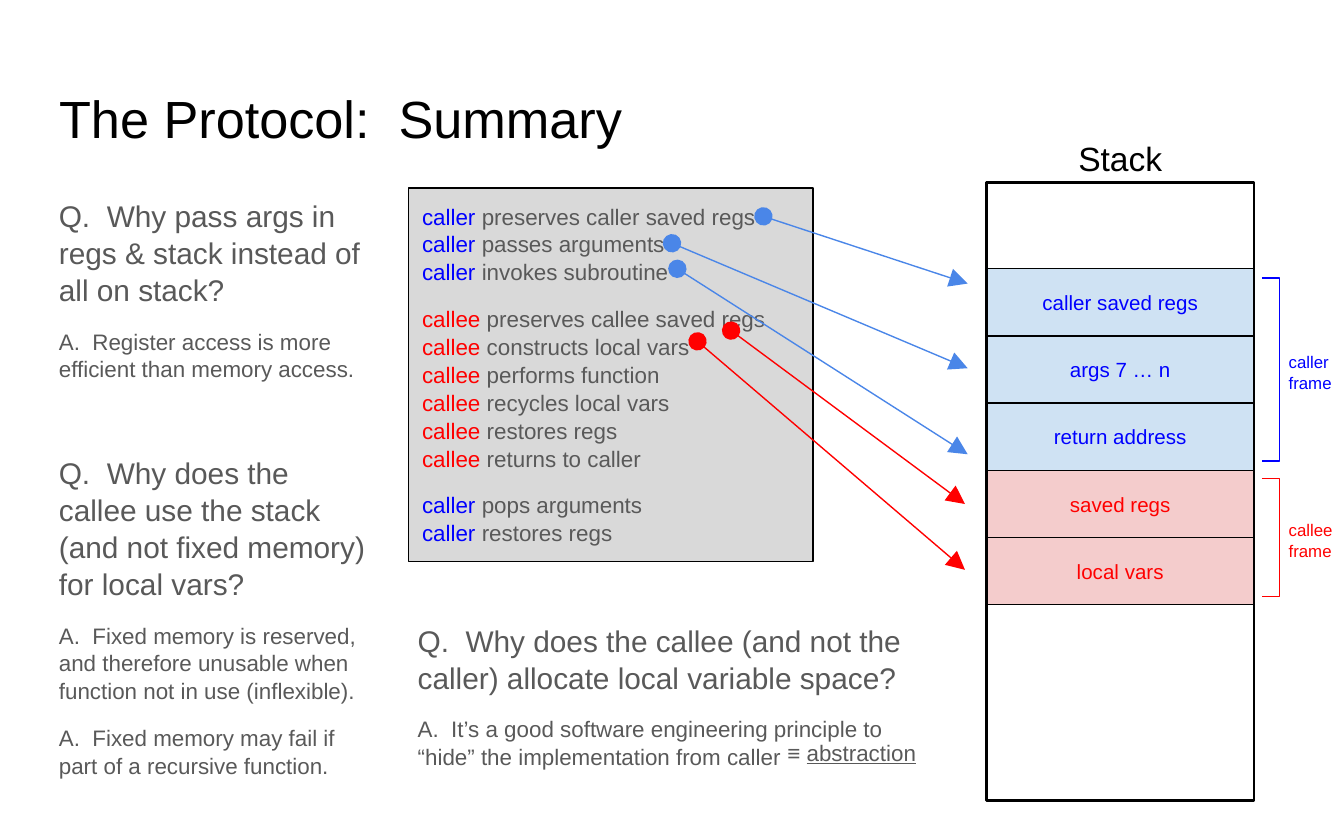
from lxml import etree
from pptx import Presentation
from pptx.dml.color import RGBColor
from pptx.enum.shapes import MSO_CONNECTOR, MSO_SHAPE
from pptx.enum.text import MSO_ANCHOR, MSO_AUTO_SIZE, PP_ALIGN
from pptx.oxml.ns import qn
from pptx.util import Inches, Pt

STRAIGHT, RECT = MSO_CONNECTOR.STRAIGHT, MSO_SHAPE.RECTANGLE
TOP, MIDDLE = MSO_ANCHOR.TOP, MSO_ANCHOR.MIDDLE
LEFT, CENTER = PP_ALIGN.LEFT, PP_ALIGN.CENTER
NO_FIT = MSO_AUTO_SIZE.NONE

BLACK = RGBColor(0x00, 0x00, 0x00)
GRAY = RGBColor(0x59, 0x59, 0x59)
PANEL = RGBColor(0xD9, 0xD9, 0xD9)
BLUE = RGBColor(0x00, 0x00, 0xFF)
RED = RGBColor(0xFF, 0x00, 0x00)
ARROW_BLUE = RGBColor(0x4A, 0x86, 0xE8)
PALE_BLUE = RGBColor(0xCF, 0xE2, 0xF3)
PALE_RED = RGBColor(0xF4, 0xCC, 0xCC)

FONT = "Arial"
SPACING = 1.04
ROLE_COLORS = {"caller": BLUE, "callee": RED}
STEPS = [
    ("caller", ["preserves caller saved regs", "passes arguments",
                "invokes subroutine"]),
    ("callee", ["preserves callee saved regs", "constructs local vars",
                "performs function", "recycles local vars", "restores regs",
                "returns to caller"]),
    ("caller", ["pops arguments", "restores regs"]),
]
CELLS = [
    ("caller saved regs", PALE_BLUE, BLUE),
    ("args 7 … n", PALE_BLUE, BLUE),
    ("return address", PALE_BLUE, BLUE),
    ("saved regs", PALE_RED, RED),
    ("local vars", PALE_RED, RED),
]
ARROWS = [
    (5.68, 1.61, 7.2, 2.11, ARROW_BLUE),
    (5, 1.81, 7.2, 2.74, ARROW_BLUE),
    (5.04, 2, 7.2, 3.38, ARROW_BLUE),
    (5.44, 2.46, 7.18, 3.75, RED),
    (5.19, 2.54, 7.18, 4.24, RED),
]
QUESTIONS = [
    ((0.34, 1.36, 2.54, 1.44),
     "Q.  Why pass args in regs & stack instead of all on stack?",
     ["A.  Register access is more efficient than memory access."]),
    ((3.01, 4.52, 3.96, 1.36),
     "Q.  Why does the callee (and not the caller) allocate local variable "
     "space?",
     ["A.  It’s a good software engineering principle to “hide” the "
      "implementation from caller"]),
    ((0.34, 3.27, 2.54, 1.36),
     "Q.  Why does the callee use the stack (and not fixed memory) for local "
     "vars?",
     ["A.  Fixed memory is reserved, and therefore unusable when function "
      "not in use (inflexible).",
      "A.  Fixed memory may fail if part of a recursive function."]),
]


def place(sp, box):
    """Move a shape to a box given in inches."""
    sp.left, sp.top, sp.width, sp.height = map(Inches, box)


def prepare(sp, anchor=TOP):
    """Set insets, wrapping and anchor, and return the text frame."""
    tf = sp.text_frame
    tf.word_wrap = True
    tf.auto_size = NO_FIT
    tf.vertical_anchor = anchor
    tf.margin_left = tf.margin_right = Inches(0.1)
    tf.margin_top = tf.margin_bottom = Inches(0.1)
    return tf


def format_paragraph(p, size, color, align=LEFT, after=0, spacing=SPACING):
    """Set the font and spacing of a paragraph."""
    p.font.name, p.font.size = FONT, Pt(size)
    p.font.color.rgb = color
    p.alignment = align
    p.line_spacing = spacing
    p.space_before, p.space_after = Pt(0), Pt(after)


def write(tf, lines):
    """Fill a text frame with (text, size, color, options) paragraphs."""
    for i, (text, size, color, options) in enumerate(lines):
        p = tf.add_paragraph() if i else tf.paragraphs[0]
        p.text = text
        format_paragraph(p, size, color, **options)


def add_text(s, box, lines, anchor=TOP):
    """Add a text box with the given paragraphs."""
    sp = s.shapes.add_textbox(*map(Inches, box))
    write(prepare(sp, anchor), lines)


def add_rect(s, box, width):
    """Add a black-edged rectangle without fill."""
    sp = s.shapes.add_shape(RECT, *map(Inches, box))
    sp.shadow.inherit = False
    sp.fill.background()
    sp.line.color.rgb, sp.line.width = BLACK, Pt(width)
    return sp


def fill_title(s, box):
    """Place the slide title."""
    sp = s.shapes.title
    place(sp, box)
    write(prepare(sp), [("The Protocol:  Summary", 28, BLACK, {"spacing": 1})])


def fill_steps(s, box):
    """Place the grey panel that lists the steps of the protocol."""
    sp = s.placeholders[1]
    place(sp, box)
    sp.fill.solid()
    sp.fill.fore_color.rgb = PANEL
    sp.line.color.rgb, sp.line.width = BLACK, Pt(0.75)
    tf = prepare(sp)
    p = tf.paragraphs[0]
    for role, actions in STEPS:
        for action in actions:
            if p.runs:
                p = tf.add_paragraph()
            r = p.add_run()
            r.text = role
            r.font.color.rgb = ROLE_COLORS[role]
            p.add_run().text = f" {action}"
            format_paragraph(p, 12, GRAY,
                             after=10 if action == actions[-1] else 0)
            pPr = p._p.get_or_add_pPr()
            pPr.set("marL", "0")
            pPr.set("indent", "0")
            pPr.insert_element_before(etree.Element(qn("a:buNone")),
                                      "a:tabLst", "a:defRPr", "a:extLst")


def add_question(s, box, question, answers):
    """Add a question with its answers below."""
    add_text(s, box, [(question, 16, GRAY, {"after": 10})]
             + [(a, 12, GRAY, {"after": 10}) for a in answers])


def add_abstraction(s, box):
    """Add the underlined term that ends the middle answer."""
    sp = s.shapes.add_textbox(*map(Inches, box))
    p = prepare(sp).paragraphs[0]
    p.add_run().text = "≡ "
    r = p.add_run()
    r.text = "abstraction"
    r.font.underline = True
    format_paragraph(p, 12, GRAY)


def add_bracket(s, box, role):
    """Add a right bracket with the frame label beside it."""
    left, top, width, height = box
    right, bottom = left + width, top + height
    color = ROLE_COLORS[role]
    fb = s.shapes.build_freeform(Inches(left), Inches(top))
    fb.add_line_segments([(Inches(x), Inches(y)) for x, y in
                          [(right, top), (right, bottom), (left, bottom)]],
                         close=False)
    sp = fb.convert_to_shape()
    sp.shadow.inherit = False
    sp.fill.background()
    sp.line.color.rgb, sp.line.width = color, Pt(0.75)
    label_top = top + height / 2 - 0.24
    add_text(s, (right - 0.03, label_top, 0.6, 0.33),
             [(text, 9, color, {}) for text in (role, "frame")])


def add_stack(s, box):
    """Add the stack with its heading, cells and frame brackets."""
    left, top, width, height = box
    row, first = 0.5, top + 0.64
    add_text(s, (left, top - 0.35, width, 0.33),
             [("Stack", 18, BLACK, {"align": CENTER, "spacing": 1})], MIDDLE)
    for i, (text, fill, color) in enumerate(CELLS):
        sp = add_rect(s, (left, first + i * row, width, row), 0.75)
        sp.fill.solid()
        sp.fill.fore_color.rgb = fill
        write(prepare(sp, MIDDLE),
              [(text, 11, color, {"align": CENTER, "spacing": 1})])
    add_rect(s, box, 1.5)
    x = left + width + 0.06
    add_bracket(s, (x, first + 0.07, 0.13, 1.36), "caller")
    add_bracket(s, (x, first + 1.56, 0.13, 0.88), "callee")


def add_arrow(s, x1, y1, x2, y2, color):
    """Add an arrow that starts with a dot."""
    c = s.shapes.add_connector(STRAIGHT, *map(Inches, (x1, y1, x2, y2)))
    c.line.color.rgb, c.line.width = color, Pt(0.75)
    ln = c.line._get_or_add_ln()
    for tag, kind in (("a:headEnd", "oval"), ("a:tailEnd", "triangle")):
        etree.SubElement(ln, qn(tag), type=kind, w="lg", len="lg")
    etree.SubElement(c._element.spPr, qn("a:effectLst"))


def main():
    """Build the slide and save it."""
    prs = Presentation()
    prs.slide_width, prs.slide_height = Inches(10), Inches(6.25)
    s = prs.slides.add_slide(prs.slide_layouts[1])
    fill_title(s, (0.34, 0.54, 9.32, 0.7))
    fill_steps(s, (3.04, 1.4, 3.01, 2.78))
    add_stack(s, (7.34, 1.36, 1.99, 4.6))
    for arrow in ARROWS:
        add_arrow(s, *arrow)
    for question in QUESTIONS:
        add_question(s, *question)
    add_abstraction(s, (5.76, 5.39, 1.86, 0.41))
    prs.save("out.pptx")


if __name__ == "__main__":
    main()
